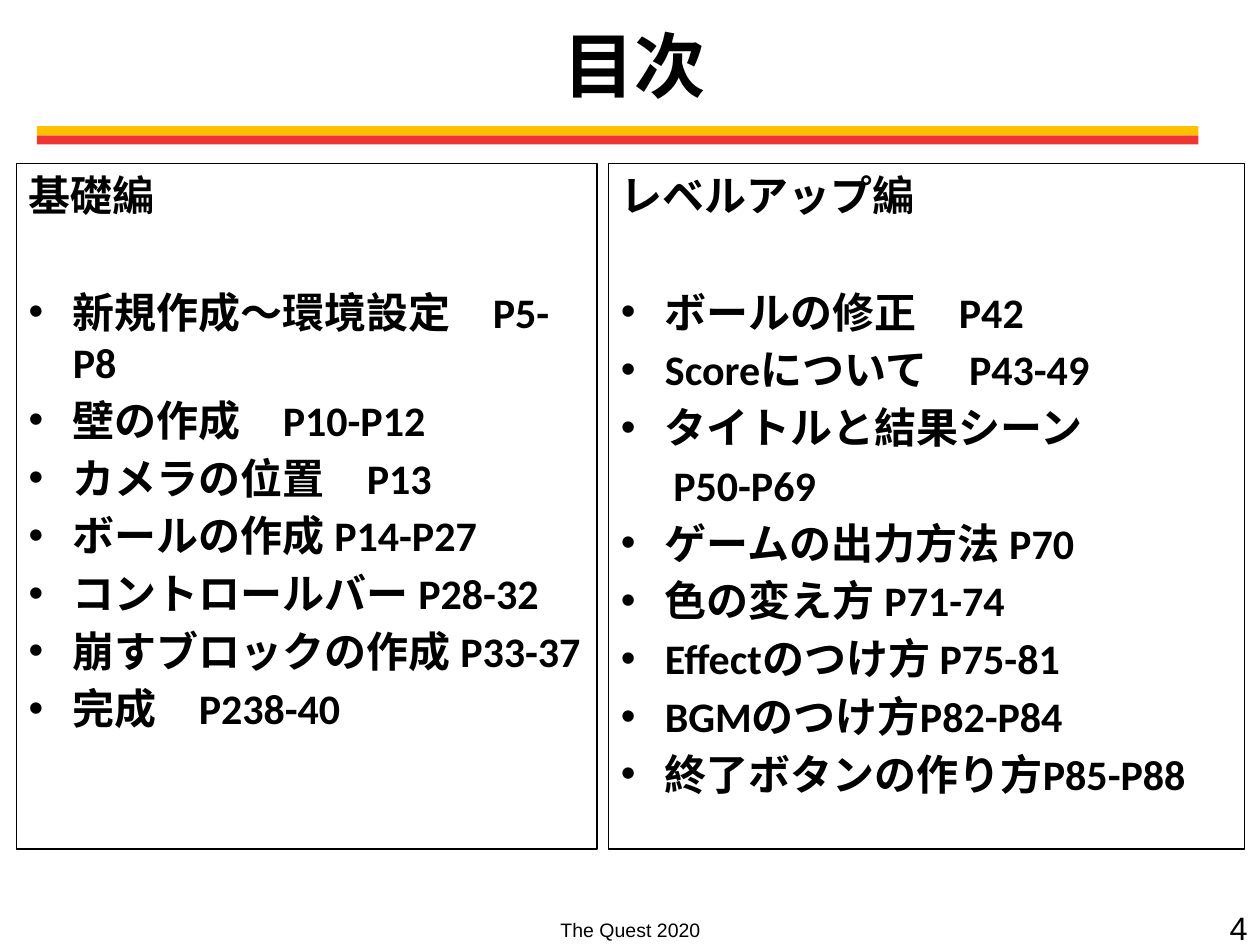
from dataclasses import dataclass

from lxml import etree
from pptx import Presentation
from pptx.dml.color import RGBColor
from pptx.enum import shapes, text
from pptx.oxml import ns
from pptx.util import Pt

BLACK = RGBColor(0, 0, 0)
YELLOW = RGBColor(0xFF, 0xC0, 0x00)
RED = RGBColor(0xF0, 0x34, 0x34)

BODY_SIZE = 24
ITEM_GAP = 4.2
HEADING_GAP = 37.7
BULLET_INDENT = 25.2
CONTINUATION_INDENT = 30


@dataclass(frozen=True)
class Box:
    left: float
    top: float
    width: float
    height: float

    def lengths(self) -> tuple:
        return Pt(self.left), Pt(self.top), Pt(self.width), Pt(self.height)


@dataclass(frozen=True)
class Item:
    label: str
    bullet: bool = True


@dataclass(frozen=True)
class Section:
    box: Box
    heading: str
    items: tuple


@dataclass(frozen=True)
class Label:
    box: Box
    wording: str
    size: float
    alignment: text.PP_ALIGN


BARS = (
    (Box(21, 77.4, 663.8, 5.1), RED),
    (Box(21, 72, 663.8, 5.4), YELLOW),
)

SECTIONS = (
    Section(
        Box(9.3, 93.5, 331.9, 391.7),
        "基礎編",
        (
            Item("新規作成～環境設定　P5-P8"),
            Item("壁の作成　P10-P12"),
            Item("カメラの位置　P13"),
            Item("ボールの作成 P14-P27"),
            Item("コントロールバー P28-32"),
            Item("崩すブロックの作成 P33-37"),
            Item("完成　P238-40"),
        ),
    ),
    Section(
        Box(347.7, 93.5, 363.4, 391.7),
        "レベルアップ編",
        (
            Item("ボールの修正　P42"),
            Item("Scoreについて　P43-49"),
            Item("タイトルと結果シーン"),
            Item("P50-P69", bullet=False),
            Item("ゲームの出力方法 P70"),
            Item("色の変え方 P71-74"),
            Item("Effectのつけ方 P75-81"),
            Item("BGMのつけ方P82-P84"),
            Item("終了ボタンの作り方P85-P88"),
        ),
    ),
)

LABELS = (
    Label(Box(246.2, 522, 228.2, 18), "The Quest 2020", 11.1, text.PP_ALIGN.CENTER),
    Label(Box(552.2, 515.5, 167.8, 28.8), "4", 18.5, text.PP_ALIGN.RIGHT),
)


def set_font(paragraph, name: str, size: float, bold: bool = False) -> None:
    font = paragraph.font
    font.name, font.size, font.bold = name, Pt(size), bold
    font.color.rgb = BLACK


def set_indent(paragraph, item: Item) -> None:
    properties = paragraph._p.get_or_add_pPr()
    if item.bullet:
        properties.set("marL", str(Pt(BULLET_INDENT)))
        properties.set("indent", str(-Pt(BULLET_INDENT)))
        etree.SubElement(properties, ns.qn("a:buFont")).set("typeface", "Arial")
        etree.SubElement(properties, ns.qn("a:buChar")).set("char", "•")
    else:
        properties.set("marL", str(Pt(CONTINUATION_INDENT)))


def add_rectangle(slide, box: Box):
    shape = slide.shapes.add_shape(shapes.MSO_SHAPE.RECTANGLE, *box.lengths())
    shape.shadow.inherit = False
    return shape


def add_bar(slide, box: Box, color: RGBColor) -> None:
    shape = add_rectangle(slide, box)
    shape.fill.solid()
    shape.fill.fore_color.rgb = color
    shape.line.fill.background()


def add_section(slide, section: Section) -> None:
    shape = add_rectangle(slide, section.box)
    shape.fill.background()
    shape.line.color.rgb = BLACK
    shape.line.width = Pt(0.75)
    frame = shape.text_frame
    frame.word_wrap = True
    frame.vertical_anchor = text.MSO_ANCHOR.TOP
    heading = frame.paragraphs[0]
    heading.text = section.heading
    heading.alignment = text.PP_ALIGN.LEFT
    set_font(heading, "Calibri", BODY_SIZE, bold=True)
    for index, item in enumerate(section.items):
        paragraph = frame.add_paragraph()
        paragraph.text = item.label
        paragraph.alignment = text.PP_ALIGN.LEFT
        paragraph.space_before = Pt(ITEM_GAP if index else HEADING_GAP)
        set_indent(paragraph, item)
        set_font(paragraph, "Calibri", BODY_SIZE, bold=True)


def add_label(slide, label: Label) -> None:
    frame = slide.shapes.add_textbox(*label.box.lengths()).text_frame
    frame.word_wrap = True
    frame.vertical_anchor = text.MSO_ANCHOR.MIDDLE
    paragraph = frame.paragraphs[0]
    paragraph.text = label.wording
    paragraph.alignment = label.alignment
    set_font(paragraph, "Arial", label.size)


def format_title(slide, box: Box, wording: str) -> None:
    title = slide.shapes.title
    title.left, title.top, title.width, title.height = box.lengths()
    frame = title.text_frame
    frame.text = wording
    frame.auto_size = text.MSO_AUTO_SIZE.NONE
    frame.vertical_anchor = text.MSO_ANCHOR.MIDDLE
    paragraph = frame.paragraphs[0]
    paragraph.alignment = text.PP_ALIGN.CENTER
    set_font(paragraph, "Calibri", 40.6, bold=True)


def main() -> None:
    presentation = Presentation()
    presentation.slide_width, presentation.slide_height = Pt(720), Pt(540)
    slide = presentation.slides.add_slide(presentation.slide_layouts[5])
    format_title(slide, Box(9.4, 4.3, 706.3, 64.8), "目次")
    for box, color in BARS:
        add_bar(slide, box, color)
    for section in SECTIONS:
        add_section(slide, section)
    for label in LABELS:
        add_label(slide, label)
    presentation.save("out.pptx")


if __name__ == "__main__":
    main()
